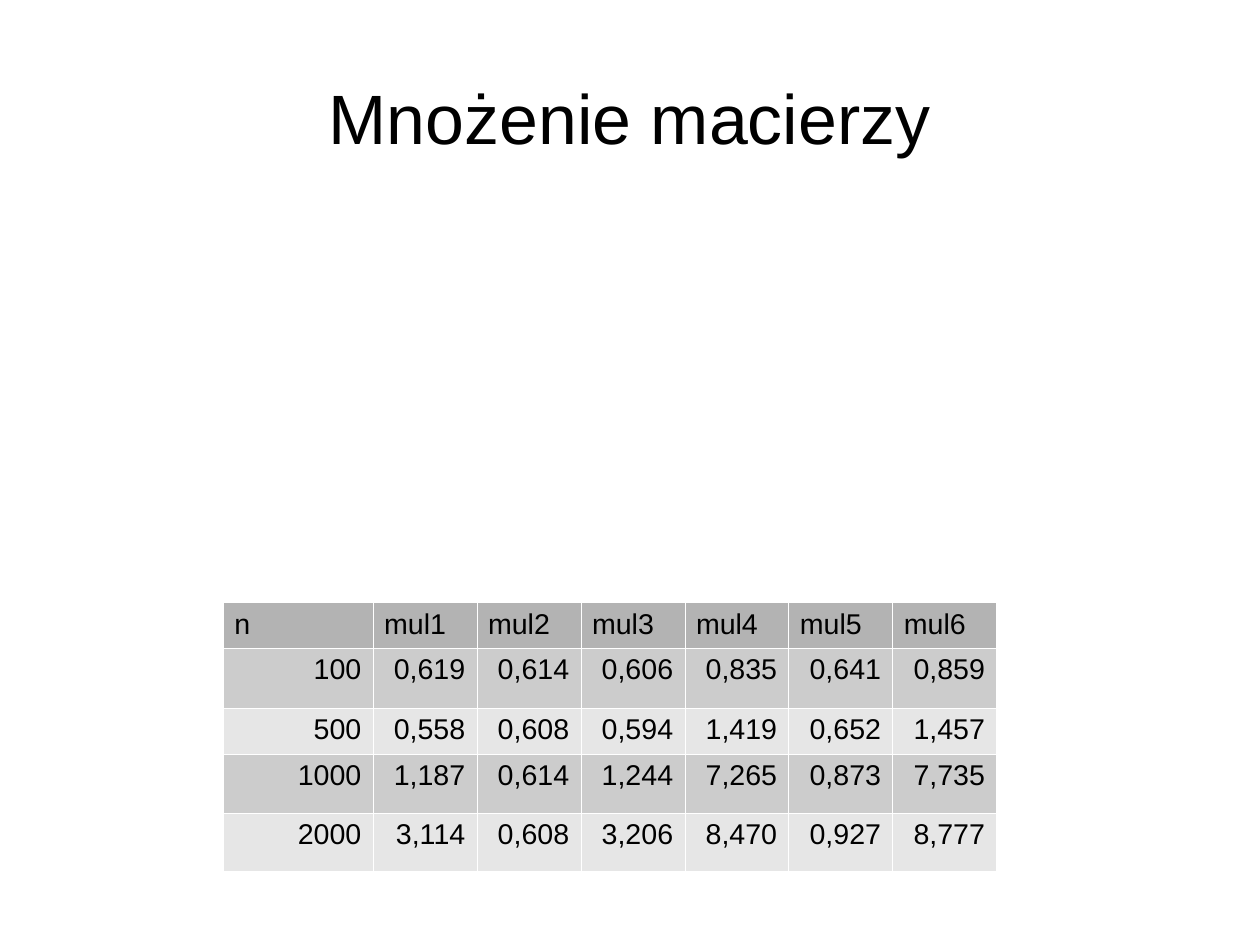
from lxml.etree import SubElement
from pptx import Presentation
from pptx.dml.color import RGBColor as RGB
from pptx.enum.text import MSO_ANCHOR as Anchor, PP_ALIGN as Align
from pptx.oxml.ns import qn
from pptx.util import Pt

TITLE = "Mnożenie macierzy"
TIMES = [
    ("n", "mul1", "mul2", "mul3", "mul4", "mul5", "mul6"),
    ("100", "0,619", "0,614", "0,606", "0,835", "0,641", "0,859"),
    ("500", "0,558", "0,608", "0,594", "1,419", "0,652", "1,457"),
    ("1000", "1,187", "0,614", "1,244", "7,265", "0,873", "7,735"),
    ("2000", "3,114", "0,608", "3,206", "8,470", "0,927", "8,777"),
]
COLORS = {"text": "000000", "header": "B3B3B3", "odd": "CCCCCC",
          "even": "E6E6E6", "border": "FFFFFF"}
SLIDE_SIZE = 793.7, 595.28
TITLE_BOX = 39.6, 23.8, 714.3, 99.3
TABLE_CORNER = 140.4, 379.5
COLUMN_WIDTHS = [94.4] + [65.5] * 6
ROW_HEIGHTS = [27.5, 37.6, 28, 37.6, 36.7]
BORDER_WIDTH = 0.06


def write(frame, text, size, align):
    paragraph = frame.paragraphs[0]
    paragraph.alignment = align
    run = paragraph.add_run()
    run.text = text
    for name, value in {"name": "Arial", "size": Pt(size)}.items():
        setattr(run.font, name, value)
    run.font.color.rgb = RGB.from_string(COLORS["text"])


def add_borders(cell):
    """Line all four sides; the lines must precede the fill in the cell's XML."""
    properties = cell._tc.get_or_add_tcPr()
    for side in ("a:lnL", "a:lnR", "a:lnT", "a:lnB"):
        line = SubElement(properties, qn(side), w=str(Pt(BORDER_WIDTH)))
        fill = SubElement(line, qn("a:solidFill"))
        SubElement(fill, qn("a:srgbClr"), val=COLORS["border"])


def add_title(slide):
    frame = slide.shapes.add_textbox(*map(Pt, TITLE_BOX)).text_frame
    layout = {"word_wrap": True, "vertical_anchor": Anchor.MIDDLE,
              "margin_left": 0, "margin_right": 0,
              "margin_top": 0, "margin_bottom": 0}
    for name, value in layout.items():
        setattr(frame, name, value)
    write(frame, TITLE, 44, Align.CENTER)


def add_times(slide):
    extent = sum(COLUMN_WIDTHS), sum(ROW_HEIGHTS)
    table = slide.shapes.add_table(len(TIMES), len(TIMES[0]),
                                   *map(Pt, TABLE_CORNER + extent)).table
    for column, width in zip(table.columns, COLUMN_WIDTHS):
        column.width = Pt(width)
    for row, height in zip(table.rows, ROW_HEIGHTS):
        row.height = Pt(height)
    for r, values in enumerate(TIMES):
        band = "header" if r == 0 else "odd" if r % 2 else "even"
        align = Align.RIGHT if r else Align.LEFT
        for c, value in enumerate(values):
            cell = table.cell(r, c)
            add_borders(cell)
            cell.fill.solid()
            cell.fill.fore_color.rgb = RGB.from_string(COLORS[band])
            write(cell.text_frame, value, 18, align)


def main():
    deck = Presentation()
    deck.slide_width, deck.slide_height = map(Pt, SLIDE_SIZE)
    slide = deck.slides.add_slide(deck.slide_layouts[6])
    add_title(slide)
    add_times(slide)
    deck.save("out.pptx")


if __name__ == "__main__":
    main()
